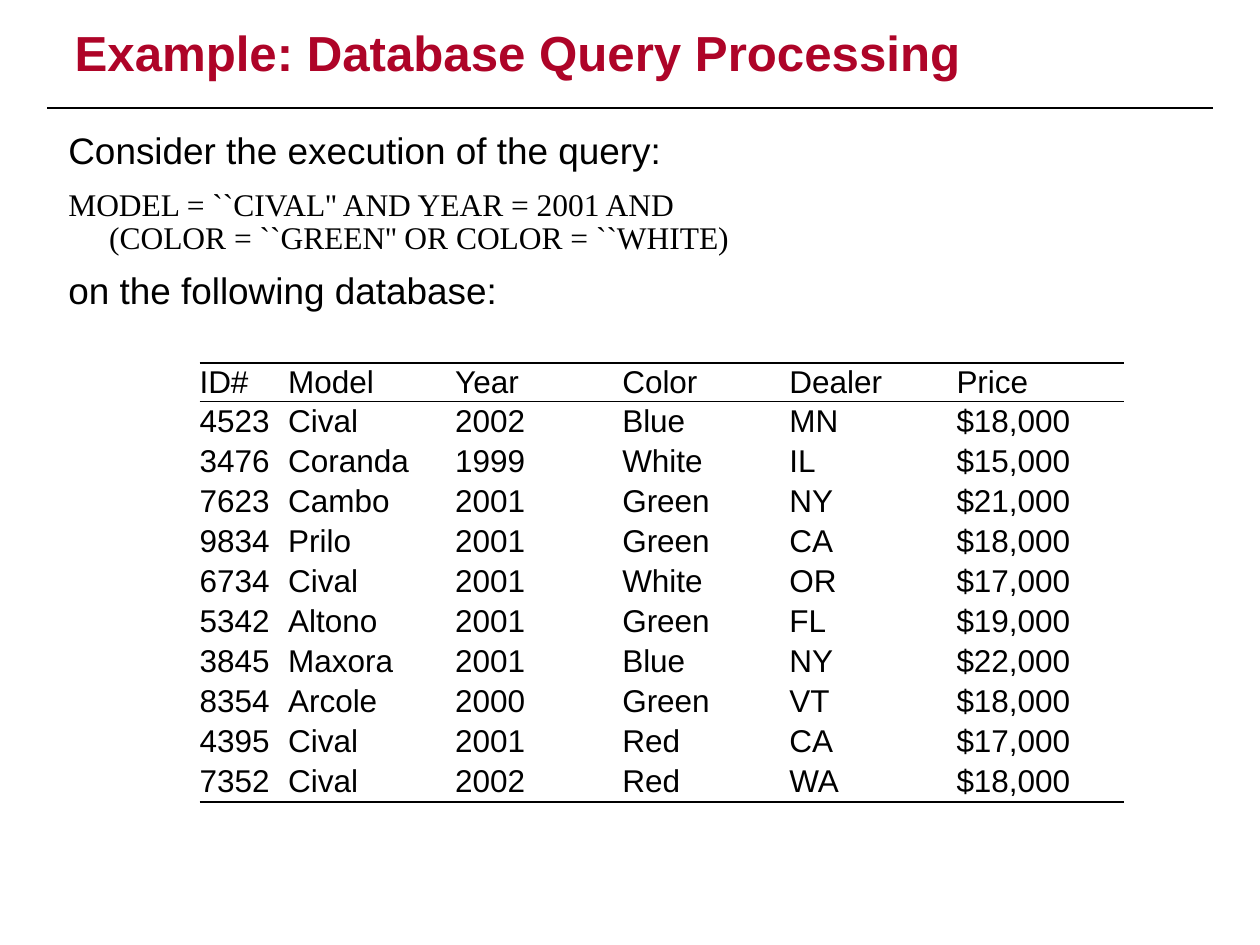
"""Build the slide on database query processing: heading, query and car table."""
import lxml.etree
import pptx
import pptx.dml.color
import pptx.enum.shapes
import pptx.enum.text
import pptx.oxml.ns
import pptx.util

Cm, Pt = pptx.util.Cm, pptx.util.Pt
qn = pptx.oxml.ns.qn
MIDDLE = pptx.enum.text.MSO_ANCHOR.MIDDLE
COLORS = {"title": "AE0428", "ink": "000000"}


def write(para, text, size, font="Arial", color="ink", bold=False):
    run = para.add_run()
    run.text = text
    run.font.size = Pt(size)
    run.font.name = font
    run.font.bold = bold
    run.font.color.rgb = pptx.dml.color.RGBColor.from_string(COLORS[color])


def frame(left, top, width, height):
    box = slide.shapes.add_textbox(Cm(left), Cm(top), Cm(width), Cm(height))
    text = box.text_frame
    text.word_wrap = True
    text.margin_left = text.margin_right = Cm(0.16)
    text.margin_top = text.margin_bottom = Cm(0.16)
    return text


deck = pptx.Presentation()
deck.slide_width, deck.slide_height = Cm(36.12), Cm(27.1)
slide = deck.slides.add_slide(deck.slide_layouts[6])

rule = slide.shapes.add_connector(
    pptx.enum.shapes.MSO_CONNECTOR.STRAIGHT, Cm(1.35), Cm(3.1), Cm(34.77), Cm(3.1))
rule.line.width = Pt(2)
rule.line.color.rgb = pptx.dml.color.RGBColor.from_string(COLORS["ink"])
lxml.etree.SubElement(rule._element.spPr, qn("a:effectLst"))

title = frame(1.98, 0.48, 32.18, 2.36)
title.vertical_anchor = MIDDLE
title.paragraphs[0].line_spacing = Pt(38)
write(title.paragraphs[0], "Example: Database Query Processing", 40, color="title", bold=True)

body = frame(1.8, 3.02, 32.51, 6.93)
LINES = [
    ("Consider the execution of the query:", 30, "Arial", Pt(50), 0, 0),
    ("MODEL = ``CIVAL'' AND YEAR = 2001 AND", 25.6, "Times New Roman", 1.0, 5, 0),
    ("(COLOR = ``GREEN'' OR COLOR = ``WHITE)", 25.6, "Times New Roman", Pt(17), 5, 1.17),
    ("on the following database:", 30, "Arial", 1.0, 5, 0),
]
for i, (text, size, font, pitch, before, indent) in enumerate(LINES):
    para = body.add_paragraph() if i else body.paragraphs[0]
    para.line_spacing = pitch
    para.space_before, para.space_after = Pt(before), Pt(5)
    para._p.get_or_add_pPr().set("marL", str(Cm(indent)))
    write(para, text, size, font)

CARS = [
    ("ID#", "Model", "Year", "Color", "Dealer", "Price"),
    ("4523", "Cival", "2002", "Blue", "MN", "$18,000"),
    ("3476", "Coranda", "1999", "White", "IL", "$15,000"),
    ("7623", "Cambo", "2001", "Green", "NY", "$21,000"),
    ("9834", "Prilo", "2001", "Green", "CA", "$18,000"),
    ("6734", "Cival", "2001", "White", "OR", "$17,000"),
    ("5342", "Altono", "2001", "Green", "FL", "$19,000"),
    ("3845", "Maxora", "2001", "Blue", "NY", "$22,000"),
    ("8354", "Arcole", "2000", "Green", "VT", "$18,000"),
    ("4395", "Cival", "2001", "Red", "CA", "$17,000"),
    ("7352", "Cival", "2002", "Red", "WA", "$18,000"),
]
EDGES = {0: {"lnT": 2.25, "lnB": 1}, 1: {"lnT": 1}, len(CARS) - 1: {"lnB": 2.25}}
table = slide.shapes.add_table(
    len(CARS), len(CARS[0]), Cm(5.72), Cm(10.41), Cm(26.49), Cm(12.6)).table
table.first_row = table.horz_banding = False
for c, column in enumerate(table.columns):
    column.width = Cm(4.79 if c else 2.54)
for r, car in enumerate(CARS):
    table.rows[r].height = Cm(1.15 if r else 1.1)
    for c, value in enumerate(car):
        cell = table.cell(r, c)
        cell.margin_left = cell.margin_right = cell.margin_top = cell.margin_bottom = 0
        cell.vertical_anchor = MIDDLE
        props = cell._tc.get_or_add_tcPr()
        for side in ("lnL", "lnR", "lnT", "lnB"):
            width = EDGES.get(r, {}).get(side, 0)
            edge = lxml.etree.SubElement(props, qn("a:" + side), w=str(Pt(width)))
            fill = lxml.etree.SubElement(edge, qn("a:solidFill" if width else "a:noFill"))
            if width:
                lxml.etree.SubElement(fill, qn("a:srgbClr"), val=COLORS["ink"])
        cell.fill.background()
        write(cell.text_frame.paragraphs[0], value, 25.6)

deck.save("out.pptx")
